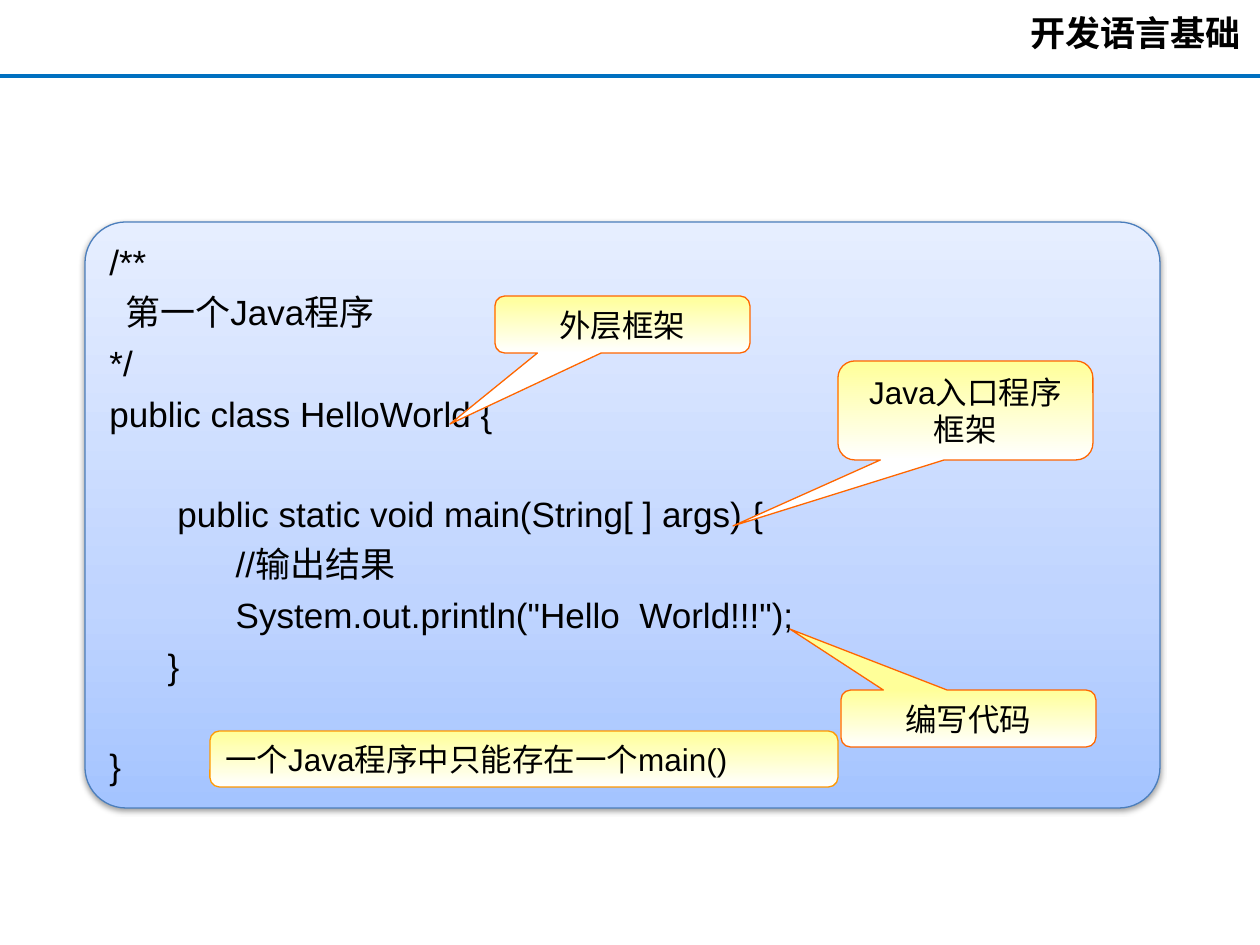
"""Build the slide that explains the first Java program."""
from lxml import etree
from pptx import Presentation
from pptx.dml.color import RGBColor
from pptx.enum import shapes, text
from pptx.oxml.ns import qn
from pptx.util import Pt

PX = 914400 / 126
KINDS = shapes.MSO_SHAPE
ALIGN = text.PP_ALIGN
ANCHOR = text.MSO_ANCHOR


def px(length):
    """Turn px into EMU."""
    return round(length * PX)


def colour(value):
    """Turn a hex string into a colour."""
    return RGBColor.from_string(value)


def style(target, values):
    """Set every attribute named in a dict."""
    for name, value in values.items():
        setattr(target, name, value)


class Deck:
    """Hold the style and the current slide."""

    code_stops = [(0, "A4C4FF"), (35, "BFD4FF"), (100, "E6EEFF")]
    note_stops = [(0, "FFFF99"), (100, "FFFFFF")]
    code_gap = 5
    blank_line = 28

    def __init__(self):
        """Start a presentation with one title-only slide."""
        self.deck = Presentation()
        style(self.deck, {"slide_width": px(1260), "slide_height": px(945)})
        self.page = self.deck.slides.add_slide(self.deck.slide_layouts[5])

    def fill_text(self, box, lines, size=18, font="Arial", bold=False,
                  align=ALIGN.LEFT, anchor=ANCHOR.MIDDLE, gap=0):
        """Put lines into a shape, turning empty ones into space."""
        frame = box.text_frame
        style(frame, {"word_wrap": True, "vertical_anchor": anchor,
                      "auto_size": text.MSO_AUTO_SIZE.NONE})
        para, before = frame.paragraphs[0], 0
        for index, line in enumerate(lines):
            if not line:
                before += self.blank_line
                continue
            if index:
                para = frame.add_paragraph()
            style(para, {"alignment": align, "space_before": Pt(before)})
            span = para.add_run()
            span.text = line
            style(span.font, {"name": font, "size": Pt(size), "bold": bold})
            span.font.color.rgb = colour("000000")
            before = gap

    def title(self, place, words):
        """Fill the title placeholder."""
        box = self.page.shapes.title
        style(box, dict(zip(("left", "top", "width", "height"), map(px, place))))
        box.text_frame.margin_right = px(19)
        self.fill_text(box, [words], 20, "Calibri", True, ALIGN.RIGHT)

    def rule(self, start, end, line):
        """Draw a straight line without a shadow."""
        rule = self.page.shapes.add_connector(
            shapes.MSO_CONNECTOR.STRAIGHT, *map(px, start + end))
        rule.line.color.rgb = colour(line)
        rule.line.width = Pt(2.25)
        etree.SubElement(rule._element.spPr, qn("a:effectLst"))

    def panel(self, kind, place, adjust, stops, angle, line):
        """Draw a shape with a gradient fill."""
        box = self.page.shapes.add_shape(kind, *map(px, place))
        for index, value in enumerate(adjust):
            box.adjustments[index] = value
        box.shadow.inherit = False
        box.fill.gradient()
        box.fill.gradient_angle = angle
        stop_list = box._element.spPr.find(".//" + qn("a:gsLst"))
        for old in list(stop_list):
            stop_list.remove(old)
        for position, value in stops:
            stop = etree.SubElement(stop_list, qn("a:gs"), pos=str(position * 1000))
            etree.SubElement(stop, qn("a:srgbClr"), val=value)
        box.line.color.rgb = colour(line)
        box.line.width = Pt(0.75)
        return box

    def code(self, place, lines):
        """Draw the code panel with a soft shadow."""
        box = self.panel(KINDS.ROUNDED_RECTANGLE, place, [0.07],
                         self.code_stops, 90, "4B7EBC")
        effects = box._element.spPr.find(qn("a:effectLst"))
        shadow = etree.SubElement(effects, qn("a:outerShdw"), blurRad=str(Pt(3.1)),
                                  dist=str(Pt(1.6)), dir="5400000", rotWithShape="0")
        black = etree.SubElement(shadow, qn("a:srgbClr"), val="000000")
        etree.SubElement(black, qn("a:alpha"), val="38000")
        self.fill_text(box, lines, 20, anchor=ANCHOR.TOP, gap=self.code_gap)

    def callout(self, place, tip, words):
        """Draw a callout whose tip is a px position."""
        left, top, width, height = place
        adjust = [(tip[0] - left) / width - 0.5, (tip[1] - top) / height - 0.5, 0.17]
        box = self.panel(KINDS.ROUNDED_RECTANGULAR_CALLOUT, place, adjust,
                         self.note_stops, 270, "FF6600")
        self.fill_text(box, [words], align=ALIGN.CENTER)

    def note(self, place, words):
        """Draw a rounded note."""
        box = self.panel(KINDS.ROUNDED_RECTANGLE, place, [0.17],
                         self.note_stops, 270, "FF9900")
        self.fill_text(box, [words])


CODE = """/**
  第一个Java程序
*/
public class HelloWorld {

       public static void main(String[ ] args) {
             //输出结果
             System.out.println("Hello  World!!!");
      }

}"""

CALLOUTS = [
    ((495, 296, 255, 57), (450, 424), "外层框架"),
    ((838, 361, 255, 99), (733, 526), "Java入口程序框架"),
    ((841, 690, 255, 57), (790, 629), "编写代码"),
]


def main():
    """Compose and save the slide."""
    slide = Deck()
    slide.rule((0, 76), (1260, 76), "0070C0")
    slide.title((868, 5, 392, 55), "开发语言基础")
    slide.code((85, 222, 1075, 586), CODE.split("\n"))
    for place, tip, words in CALLOUTS:
        slide.callout(place, tip, words)
    slide.note((210, 731, 628, 56), "一个Java程序中只能存在一个main()")
    slide.deck.save("out.pptx")


if __name__ == "__main__":
    main()
